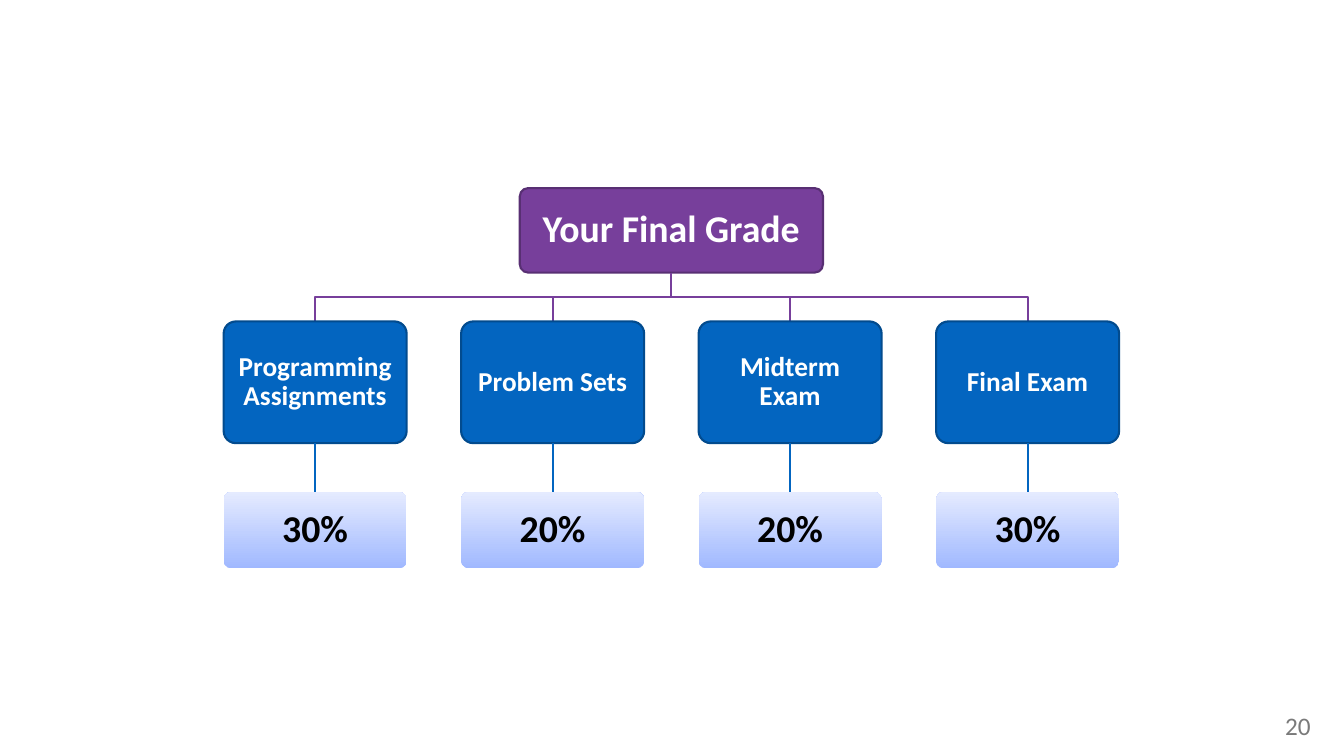
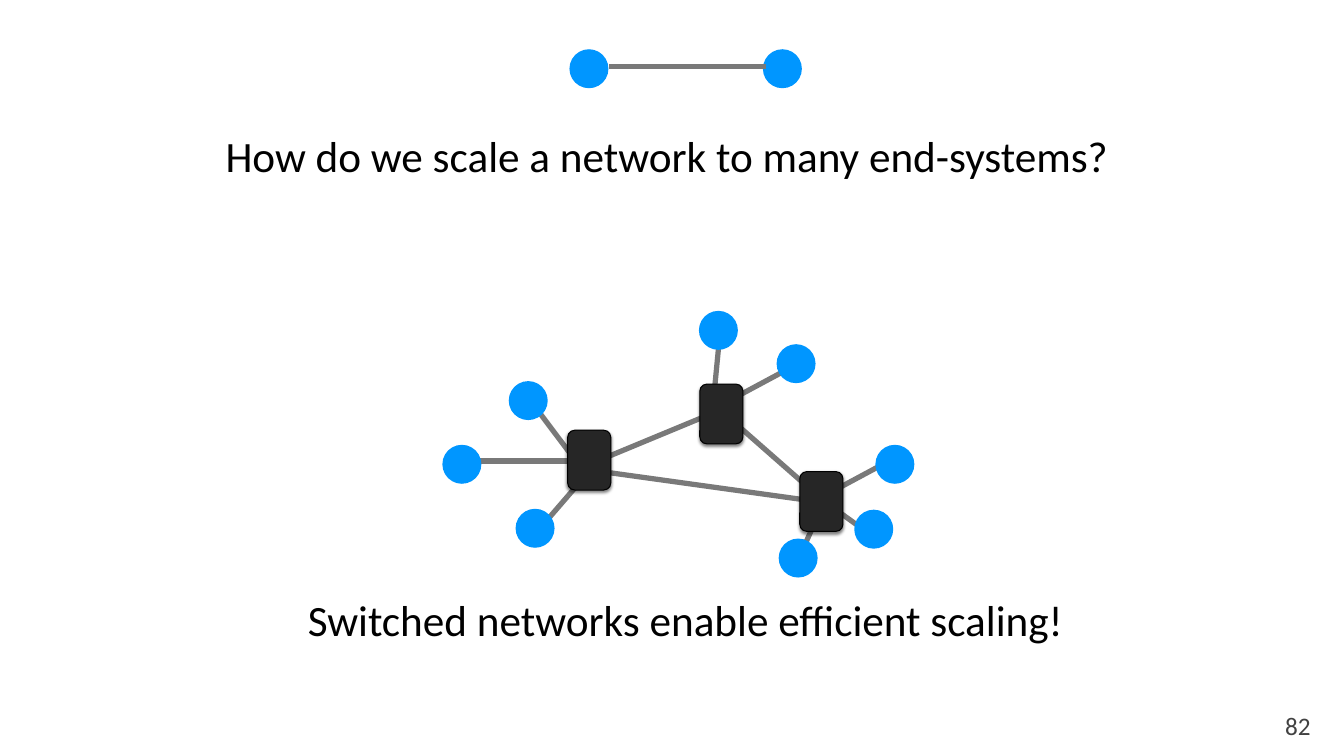
from lxml import etree
from pptx import Presentation
from pptx.dml.color import RGBColor
from pptx.enum.shapes import MSO_CONNECTOR, MSO_SHAPE
from pptx.enum.text import MSO_ANCHOR, MSO_AUTO_SIZE, PP_ALIGN
from pptx.oxml.ns import qn
from pptx.util import Cm, Pt

STRAIGHT = MSO_CONNECTOR.STRAIGHT
ROUNDED = MSO_SHAPE.ROUNDED_RECTANGLE
OVAL = MSO_SHAPE.OVAL
CENTER = PP_ALIGN.CENTER
MIDDLE = MSO_ANCHOR.MIDDLE
TOP = MSO_ANCHOR.TOP
NO_AUTOFIT = MSO_AUTO_SIZE.NONE
TITLE_ONLY, BLANK = 5, 6
TOP_SIDE, BOTTOM_SIDE = 0, 2

FONT = "Calibri"
COLORS = {
    "white": "FFFFFF",
    "black": "000000",
    "root": "773F9B",
    "root_edge": "582F73",
    "part": "0365C0",
    "part_edge": "024B8E",
    "weight_bottom": "A0B8FF",
    "weight_top": "E5EBFF",
    "host": "0096FF",
    "link": "797979",
    "switch": "262626",
    "page_light": "7A7A7A",
    "page_dark": "424242",
}

GRADE_PARTS = [
    ("Programming Assignments", "30%"),
    ("Problem Sets", "20%"),
    ("Midterm Exam", "20%"),
    ("Final Exam", "30%"),
]
TREE_CENTER = 22.56
ROOT_TOP, ROOT_WIDTH, ROOT_HEIGHT = 6.32, 10.19, 2.84
PART_TOP, PART_WIDTH, PART_HEIGHT, PART_PITCH = 10.8, 6.15, 4.09, 7.98
WEIGHT_TOP, WEIGHT_HEIGHT = 16.53, 2.57

HOST_SIZE = 1.31
SWITCH_SIZE = (1.45, 2.01)
PAIR_HOSTS = [(19.79, 2.31), (26.29, 2.31)]
PAIR_LINK = ((20.45, 2.24), (25.73, 2.24))
SWITCHES = [(19.8, 15.46), (24.24, 13.91), (27.6, 16.85)]
SWITCH_LINKS = [
    ((20.07, 15.49), (23.93, 13.89)),
    ((20.47, 15.88), (27.38, 16.84)),
    ((24.33, 13.89), (27.69, 16.84)),
]
# Each host: its centre, then the two ends of its link
HOSTS = [
    ((17.75, 13.46), (19.35, 15.49), (17.86, 13.51)),
    ((15.52, 15.6), (19.35, 15.49), (15.49, 15.49)),
    ((17.98, 17.75), (19.76, 15.88), (17.86, 18.08)),
    ((24.14, 11.1), (23.93, 13.89), (24.21, 11.0)),
    ((26.82, 18.75), (27.53, 17.22), (26.87, 18.69)),
    ((29.36, 17.78), (27.69, 16.84), (29.41, 18.08)),
    ((30.07, 15.6), (27.69, 16.66), (29.87, 15.49)),
    ((26.75, 12.22), (24.41, 13.51), (26.59, 12.34)),
]


def color(name):
    return RGBColor.from_string(COLORS[name])


def set_text(shape, text, size, color_name, bold=False, inset=0.13, spacing=1.0,
             wrap=True, anchor=MIDDLE):
    frame = shape.text_frame
    frame_format = {"word_wrap": wrap, "auto_size": NO_AUTOFIT, "vertical_anchor": anchor}
    for side in ("left", "top", "right", "bottom"):
        frame_format[f"margin_{side}"] = Cm(inset)
    for name, value in frame_format.items():
        setattr(frame, name, value)
    paragraph = frame.paragraphs[0]
    paragraph.text = text
    paragraph.alignment = CENTER
    paragraph.line_spacing = spacing
    for name, value in {"name": FONT, "size": Pt(size), "bold": bold}.items():
        setattr(paragraph.font, name, value)
    paragraph.font.color.rgb = color(color_name)


def place(shape, left, top, width, height):
    shape.left, shape.top = Cm(left), Cm(top)
    shape.width, shape.height = Cm(width), Cm(height)


def set_line(shape, color_name, width):
    shape.line.color.rgb = color(color_name)
    shape.line.width = Pt(width)


def add_page_number(slide, number, color_name):
    box = slide.shapes.add_textbox(Cm(43.03), Cm(23.85), Cm(1.17), Cm(1.27))
    set_text(box, number, 24, color_name, inset=0, wrap=False, anchor=TOP)


def add_centered_shape(slide, kind, center, size, fill=None):
    """Add a preset shape around a centre, with no line and no shadow."""
    (x, y), (width, height) = center, size
    shape = slide.shapes.add_shape(
        kind, Cm(x - width / 2), Cm(y - height / 2), Cm(width), Cm(height))
    shape.shadow.inherit = False
    shape.line.fill.background()
    if fill:
        shape.fill.solid()
        shape.fill.fore_color.rgb = color(fill)
    return shape


def add_tree_box(slide, center_x, top, width, height, fill=None, edge=None):
    box = add_centered_shape(slide, ROUNDED, (center_x, top + height / 2), (width, height), fill)
    box.adjustments[0] = 0.1
    if edge:
        set_line(box, edge, 2)
    return box


def add_weight_box(slide, center_x, text):
    box = add_tree_box(slide, center_x, WEIGHT_TOP, PART_WIDTH, WEIGHT_HEIGHT)
    box.fill.gradient()
    box.fill.gradient_angle = 90
    for stop, name in zip(box.fill.gradient_stops, ("weight_bottom", "weight_top")):
        stop.color.rgb = color(name)
    set_text(box, text, 36, "black", bold=True, inset=0.38, spacing=0.9)
    return box


def add_branch(slide, center_x):
    """Draw the bent line from the root box down to one part."""
    start = ROOT_TOP + ROOT_HEIGHT
    middle = (start + PART_TOP) / 2
    builder = slide.shapes.build_freeform(Cm(TREE_CENTER), Cm(start))
    corners = [(TREE_CENTER, middle), (center_x, middle), (center_x, PART_TOP)]
    builder.add_line_segments([(Cm(x), Cm(y)) for x, y in corners], close=False)
    branch = builder.convert_to_shape()
    branch.shadow.inherit = False
    branch.fill.background()
    set_line(branch, "root", 2)


def add_line(slide, start, end, color_name, width):
    line = slide.shapes.add_connector(STRAIGHT, *(Cm(value) for value in (*start, *end)))
    etree.SubElement(line._element.spPr, qn("a:effectLst"))
    set_line(line, color_name, width)
    return line


def add_host(slide, center):
    add_centered_shape(slide, OVAL, center, (HOST_SIZE, HOST_SIZE), "host")


def add_switch(slide, center):
    switch = add_centered_shape(slide, ROUNDED, center, SWITCH_SIZE, "switch")
    set_line(switch, "black", 1)
    effects = switch._element.spPr.find(qn("a:effectLst"))
    shadow = etree.SubElement(effects, qn("a:outerShdw"), blurRad=str(Pt(3)),
                              dist=str(Pt(2)), dir="5400000", rotWithShape="0")
    shade = etree.SubElement(shadow, qn("a:srgbClr"), val=COLORS["black"])
    etree.SubElement(shade, qn("a:alpha"), val="50000")


def add_grade_slide(presentation):
    slide = presentation.slides.add_slide(presentation.slide_layouts[BLANK])
    add_page_number(slide, "20", "page_light")
    root = add_tree_box(slide, TREE_CENTER, ROOT_TOP, ROOT_WIDTH, ROOT_HEIGHT,
                        "root", "root_edge")
    set_text(root, "Your Final Grade", 36, "white", bold=True, inset=0.38, spacing=0.9)
    first_center = TREE_CENTER - PART_PITCH * (len(GRADE_PARTS) - 1) / 2
    for index, (name, weight) in enumerate(GRADE_PARTS):
        center_x = first_center + index * PART_PITCH
        add_branch(slide, center_x)
        part = add_tree_box(slide, center_x, PART_TOP, PART_WIDTH, PART_HEIGHT,
                            "part", "part_edge")
        set_text(part, name, 26, "white", bold=True, inset=0.28, spacing=0.9)
        weight_box = add_weight_box(slide, center_x, weight)
        stem = add_line(slide, (center_x, PART_TOP + PART_HEIGHT),
                        (center_x, WEIGHT_TOP), "part", 2)
        stem.begin_connect(part, BOTTOM_SIDE)
        stem.end_connect(weight_box, TOP_SIDE)


def add_network_slide(presentation):
    slide = presentation.slides.add_slide(presentation.slide_layouts[TITLE_ONLY])
    add_page_number(slide, "82", "page_dark")
    question = slide.shapes.title
    place(question, 6.58, 4.19, 31.65, 2.03)
    set_text(question, "How do we scale a network to many end-systems?", 41.2, "black")
    answer = slide.shapes.add_textbox(Cm(7.21), Cm(19.79), Cm(31.65), Cm(2.03))
    set_text(answer, "Switched networks enable efficient scaling!", 41.2, "black")

    for center in PAIR_HOSTS:
        add_host(slide, center)
    host_links = [(start, end) for _, start, end in HOSTS]
    for start, end in [PAIR_LINK] + SWITCH_LINKS + host_links:
        add_line(slide, start, end, "link", 5)
    for center, *_ in HOSTS:
        add_host(slide, center)
    for center in SWITCHES:
        add_switch(slide, center)


def main():
    presentation = Presentation()
    presentation.slide_width, presentation.slide_height = Cm(45.16), Cm(25.4)
    add_grade_slide(presentation)
    add_network_slide(presentation)
    presentation.save("out.pptx")


if __name__ == "__main__":
    main()
